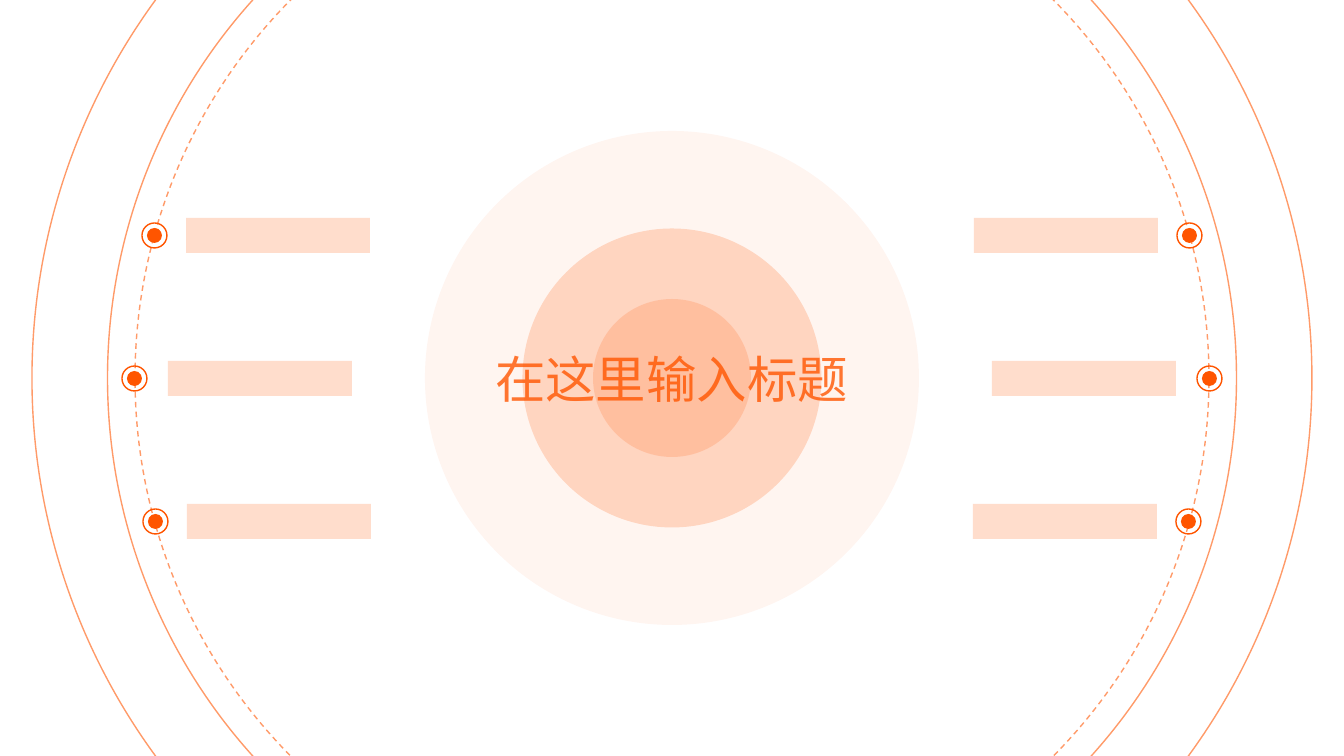
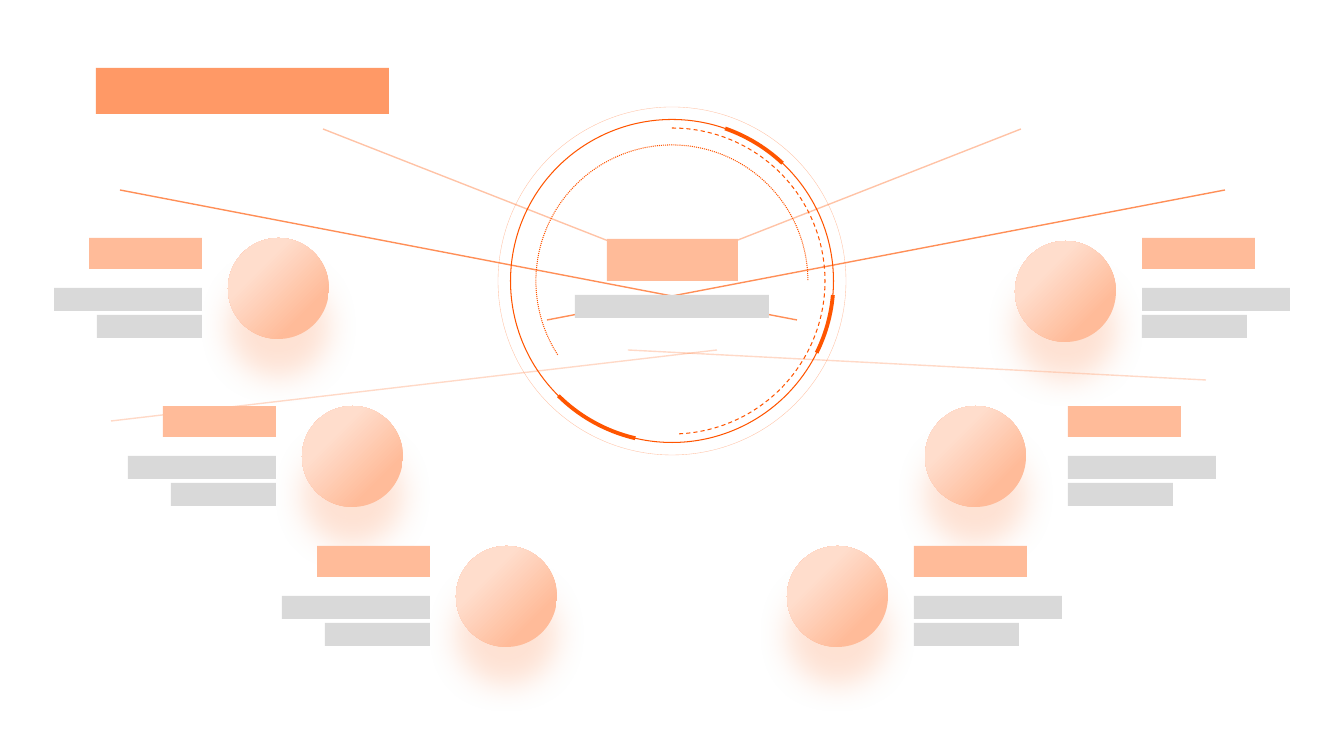
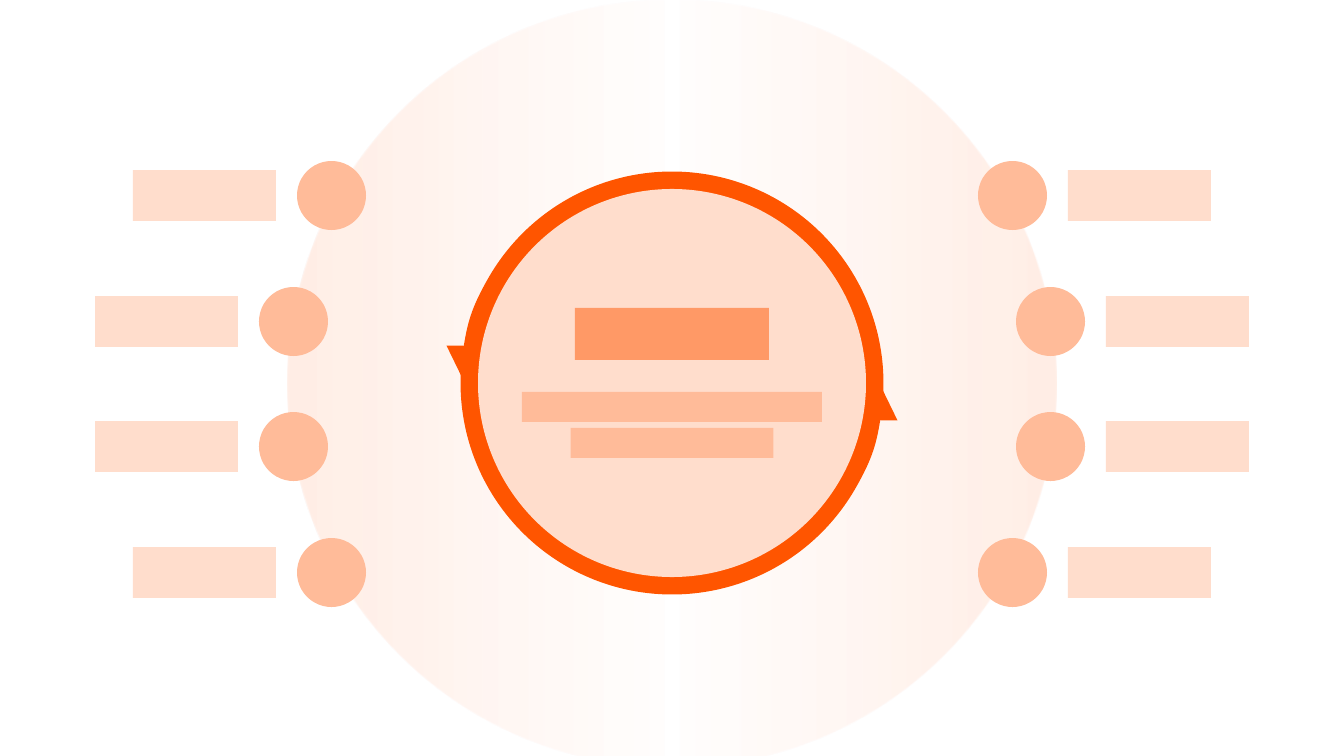
from dataclasses import dataclass

from lxml.etree import SubElement
from pptx import Presentation
from pptx.dml.color import RGBColor
from pptx.enum.dml import MSO_LINE
from pptx.enum.shapes import MSO_CONNECTOR, MSO_SHAPE
from pptx.enum.text import MSO_ANCHOR, MSO_AUTO_SIZE, PP_ALIGN
from pptx.oxml.ns import qn
from pptx.util import Emu, Pt

PX = 914400 / 100.8
WIDTH, HEIGHT = 1344, 756


@dataclass(frozen=True)
class Theme:
    accent: str = "FF5500"
    strong: str = "FF9966"
    medium: str = "FFBB99"
    light: str = "FFDDCC"
    grey: str = "D9D9D9"
    font: str = "Noto Sans CJK SC"
    title_size: int = 36
    hairline: float = 0.25
    thin: float = 0.75
    line: float = 1
    thick: float = 2.75
    band: float = 25


THEME = Theme()


# Shared drawing helpers
def px(*lengths):
    return [Emu(round(length * PX)) for length in lengths]


def apply_format(target, values):
    for name, value in values.items():
        setattr(target, name, value)


def set_alpha(parent, percent):
    """Make every colour below parent partly transparent."""
    for color in parent.iter(qn("a:srgbClr")):
        SubElement(color, qn("a:alpha"), val=str(percent * 1000))


def set_line(line, color, width, alpha=100, dash=MSO_LINE.SOLID):
    line.color.rgb = RGBColor.from_string(color)
    apply_format(line, {"width": Pt(width), "dash_style": dash})
    if alpha < 100:
        set_alpha(line._get_or_add_ln(), alpha)


def add_figure(page, kind, box, fill=None, alpha=100, stroke=None):
    """Add a preset shape; stroke holds the arguments of set_line."""
    shape = page.shapes.add_shape(kind, *px(*box))
    shape.shadow.inherit = False
    if fill:
        shape.fill.solid()
        shape.fill.fore_color.rgb = RGBColor.from_string(fill)
        if alpha < 100:
            set_alpha(shape._element.spPr, alpha)
    else:
        shape.fill.background()
    if stroke:
        set_line(shape.line, **stroke)
    else:
        shape.line.fill.background()
    return shape


def add_bar(page, box, fill):
    return add_figure(page, MSO_SHAPE.RECTANGLE, box, fill)


def around(center, size):
    x, y = center
    return x - size / 2, y - size / 2, size, size


def add_circle(page, center, size, **style):
    return add_figure(page, MSO_SHAPE.OVAL, around(center, size), **style)


def add_arc(page, center, size, start, end, **stroke):
    arc = add_figure(page, MSO_SHAPE.ARC, around(center, size), stroke=stroke)
    for index, degrees in enumerate((start, end)):
        arc.adjustments[index] = degrees * 0.6
    return arc


def set_gradient(shape, stops, focus=None):
    """Stops are position, colour, alpha; focus gives a circular gradient."""
    shape.fill.gradient()
    gradient = shape._element.spPr.find(qn("a:gradFill"))
    for child in list(gradient):
        gradient.remove(child)
    stop_list = SubElement(gradient, qn("a:gsLst"))
    for position, color, alpha in stops:
        stop = SubElement(stop_list, qn("a:gs"), pos=str(position * 1000))
        SubElement(stop, qn("a:srgbClr"), val=color)
        set_alpha(stop, alpha)
    if focus:
        circular = SubElement(gradient, qn("a:path"), path="circle")
        SubElement(circular, qn("a:fillToRect"), focus)
    else:
        SubElement(gradient, qn("a:lin"), ang="0", scaled="0")


def set_glow(shape, color, alpha, blur, distance):
    """Cast a soft shadow straight down."""
    effects = shape._element.spPr.find(qn("a:effectLst"))
    shadow = SubElement(effects, qn("a:outerShdw"), blurRad=str(Pt(blur)),
                        dist=str(Pt(distance)), dir="5400000", algn="t",
                        rotWithShape="0")
    SubElement(shadow, qn("a:srgbClr"), val=color)
    set_alpha(shadow, alpha)


def add_ray(page, start, end, alpha):
    ray = page.shapes.add_connector(MSO_CONNECTOR.STRAIGHT, *px(*start, *end))
    set_line(ray.line, THEME.accent, THEME.line, alpha)
    SubElement(ray._element.spPr, qn("a:effectLst"))


def mirror(left, width):
    return WIDTH - left - width


# Title slide
def add_title(page, box):
    frame = page.shapes.add_textbox(*px(*box)).text_frame
    apply_format(frame, {"word_wrap": False, "vertical_anchor": MSO_ANCHOR.TOP,
                         "auto_size": MSO_AUTO_SIZE.SHAPE_TO_FIT_TEXT})
    para = frame.paragraphs[0]
    para.alignment = PP_ALIGN.CENTER
    span = para.add_run()
    span.text = "在这里输入标题"
    apply_format(span.font, {"name": THEME.font, "size": Pt(THEME.title_size)})
    span.font.color.rgb = RGBColor.from_string(THEME.accent)
    properties = span._r.get_or_add_rPr()
    set_alpha(properties, 80)
    SubElement(properties, qn("a:ea"), typeface=THEME.font)


def add_marker(page, left, top, size=25, dot=15):
    center = left + size / 2, top + size / 2
    add_circle(page, center, size,
               stroke={"color": THEME.accent, "width": THEME.line})
    add_circle(page, center, dot, fill=THEME.accent)


def build_title_slide(page):
    center = WIDTH / 2, HEIGHT / 2
    for size, alpha in ((494, 6), (299, 20), (158, 17)):
        add_circle(page, center, size, fill=THEME.accent, alpha=alpha)
    for size, dash in ((1280, MSO_LINE.SOLID), (1129, MSO_LINE.SOLID),
                       (1074, MSO_LINE.DASH)):
        add_circle(page, center, size, stroke={
            "color": THEME.accent, "width": THEME.line,
            "alpha": 59, "dash": dash})
    add_title(page, (483, 343, 377, 72))

    # Markers on the dashed ring, each with a bar, on both sides
    for marker_left, bar_left, top in ((142, 186, 223), (122, 168, 366),
                                       (143, 187, 509)):
        for marker_x, bar_x in ((marker_left, bar_left),
                                (mirror(marker_left, 25), mirror(bar_left, 184))):
            add_marker(page, marker_x, top)
            add_bar(page, (bar_x, top - 5, 184, 35), THEME.light)


# Hub slide
def add_hub(page, center):
    accent = {"color": THEME.accent}
    add_arc(page, center, 272, 147.13, 0, width=THEME.thin,
            dash=MSO_LINE.ROUND_DOT, **accent)
    add_circle(page, center, 348,
               stroke={"width": THEME.hairline, "alpha": 36, **accent})
    add_arc(page, center, 306, 270, 88.24, width=THEME.thin,
            dash=MSO_LINE.DASH, **accent)
    add_circle(page, center, 323, stroke={"width": THEME.thin, **accent})
    for start, end in ((289.21, 313.2), (4.96, 26.38), (103.13, 134.72)):
        add_arc(page, center, 323, start, end, width=THEME.thick, **accent)


def add_ball(page, left, top, size=101):
    ball = add_circle(page, (left + size / 2, top + size / 2), size)
    set_gradient(ball, ((30, THEME.light, 100), (76, THEME.medium, 100)),
                 focus={"r": "100000", "b": "100000"})
    set_glow(ball, THEME.medium, alpha=42, blur=22, distance=27)


def add_entry(page, edge, top, right_side):
    """Three bars lined up at the edge next to the ball."""
    for offset, width, height, fill in ((0, 113, 31, THEME.medium),
                                        (50, 148, 23, THEME.grey),
                                        (77, 105, 23, THEME.grey)):
        left = WIDTH - edge if right_side else edge - width
        add_bar(page, (left, top + offset, width, height), fill)


def build_hub_slide(page):
    add_hub(page, (672, 281))
    for start, end, alpha in (((710, 251), (1021, 129), 35),
                              ((547, 320), (1225, 190), 65),
                              ((634, 251), (323, 129), 35),
                              ((797, 320), (120, 190), 65),
                              ((717, 350), (111, 421), 22),
                              ((628, 350), (1206, 380), 22)):
        add_ray(page, start, end, alpha)

    # Balls with their entries, one row at a time
    for top, edge, left_ball, right_ball, right_top in (
            (238, 202, 228, 1015, 241), (406, 276, 302, 925, 406),
            (546, 430, 456, 787, 546)):
        add_ball(page, left_ball, top)
        add_ball(page, right_ball, right_top)
        for right_side in (False, True):
            add_entry(page, edge, top, right_side)

    # Hub caption and slide heading
    add_bar(page, (607, 239, 131, 42), THEME.medium)
    add_bar(page, (575, 295, 194, 23), THEME.grey)
    add_bar(page, (96, 68, 293, 46), THEME.strong)


# Cycle slide
def add_cycle(page, center, size):
    for rotation in (0, 180):
        arc = add_arc(page, center, size, 170.23, 5.18,
                      color=THEME.accent, width=THEME.band)
        arc.rotation = rotation
        SubElement(arc.line._get_or_add_ln(), qn("a:headEnd"),
                   type="triangle", w="sm", len="sm")
    add_circle(page, center, size, fill=THEME.light)
    for top, width, height, fill in ((-75, 194, 52, THEME.strong),
                                     (9, 300, 30, THEME.medium),
                                     (45, 203, 30, THEME.medium)):
        add_bar(page, (center[0] - width / 2, center[1] + top, width, height),
                fill)


def build_cycle_slide(page):
    disc = add_circle(page, (672, 384), 768)
    set_gradient(disc, ((0, THEME.accent, 10), (50, THEME.accent, 0),
                        (100, THEME.accent, 10)))
    add_cycle(page, (672, 383), 388)

    # Four evenly spaced nodes with bars on each side
    node, bar_width, first, last = 69, 143, 161, 538
    for row, left in enumerate((297, 259, 259, 297)):
        top = round(first + row * (last - first) / 3)
        bar_left = left - 164
        for node_x, bar_x in ((left, bar_left),
                              (mirror(left, node), mirror(bar_left, bar_width))):
            add_circle(page, (node_x + node / 2, top + node / 2), node,
                       fill=THEME.medium)
            add_bar(page, (bar_x, top + 9, bar_width, 51), THEME.light)


def main():
    deck = Presentation()
    deck.slide_width, deck.slide_height = px(WIDTH, HEIGHT)
    for build in (build_title_slide, build_hub_slide, build_cycle_slide):
        build(deck.slides.add_slide(deck.slide_layouts[6]))
    deck.save("out.pptx")


if __name__ == "__main__":
    main()
